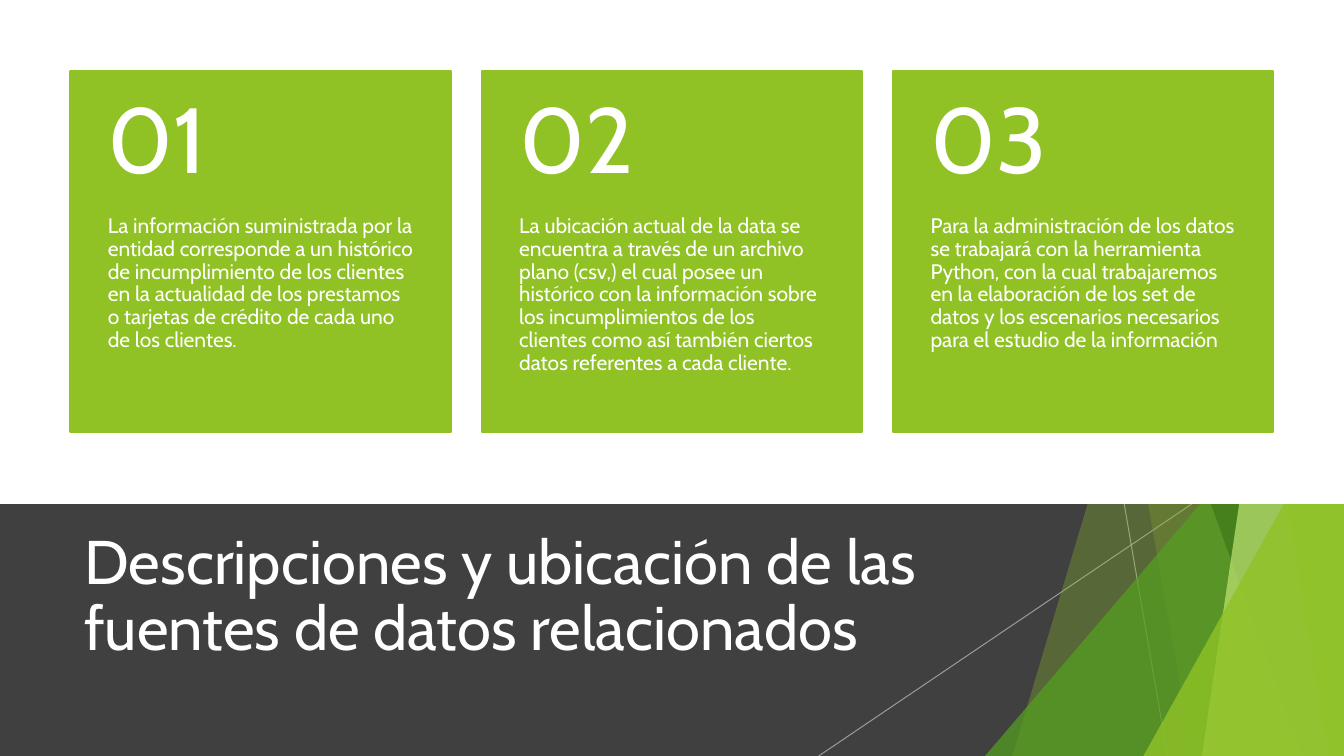
from dataclasses import dataclass

from lxml import etree
from pptx import Presentation
from pptx import util as u
from pptx.dml.color import RGBColor
from pptx.enum import shapes, text
from pptx.oxml.ns import qn


@dataclass(frozen=True)
class Theme:
    """Colours, font and type sizes of the slide."""
    font: str = "Cabin"
    white: str = "FFFFFF"
    band: str = "404040"
    lime: str = "90C226"
    green: str = "54A021"
    forest: str = "3F7819"
    pale: str = "C0E474"
    ray: str = "BFBFBF"
    title_size: float = 44
    number_size: float = 66
    body_size: float = 15


THEME = Theme()
WIDTH, HEIGHT, BAND_TOP = 13.33, 7.5, 5

TITLE = "Descripciones y ubicación de las fuentes de datos relacionados"
CARDS = [
    "La información suministrada por la entidad corresponde a un histórico de "
    "incumplimiento de los clientes en la actualidad de los prestamos o "
    "tarjetas de crédito de cada uno de los clientes.",
    "La ubicación actual de la data se encuentra a través de un archivo plano "
    "(csv,) el cual posee un histórico con la información sobre los "
    "incumplimientos de los clientes como así también ciertos datos "
    "referentes a cada cliente.",
    "Para la administración de los datos se trabajará con la herramienta "
    "Python, con la cual trabajaremos en la elaboración de los set de datos y "
    "los escenarios necesarios para el estudio de la información",
]

# Rays run from the top of the band to the foot of the slide: (top x, foot x).
RAYS = [(11.15, 11.58), (11.82, 8.12)]
# Facets, back to front. Blades: (top x, foot x); wedges: (left, top).
FACETS = [
    ("blade", (12.28, 10.04), THEME.lime, 30),
    ("blade", (10.5, 11.83), THEME.lime, 20),
    ("wedge", (9.77, 3.33), THEME.green, 72),
    ("blade", (10.21, 12.91), THEME.forest, 70),
    ("blade", (13.03, 11.92), THEME.pale, 70),
    ("blade", (11.96, 13.18), THEME.lime, 65),
    ("wedge", (11.34, 3.93), THEME.lime, 80),
]

CARD_LEFT, CARD_TOP, CARD_WIDTH, CARD_HEIGHT = 0.7, 0.7, 3.77, 3.59
CARD_PITCH, NUMBER_HEIGHT = 4.08, 1.44


def set_alpha(colored, percent):
    """Make the solid colour found inside an XML element partly transparent."""
    color = next(colored.iter(qn("a:srgbClr")))
    etree.SubElement(color, qn("a:alpha")).set("val", str(percent * 1000))


def paint(shape, color, alpha=100):
    """Give a shape a flat fill with no line and no shadow."""
    shape.shadow.inherit = False
    shape.fill.solid()
    shape.fill.fore_color.rgb = RGBColor.from_string(color)
    shape.line.fill.background()
    if alpha < 100:
        set_alpha(shape.element.spPr, alpha)


def add_block(page, kind, box, color, alpha=100):
    """Add a filled preset shape at (left, top, width, height)."""
    block = page.shapes.add_shape(kind, *map(u.Inches, box))
    paint(block, color, alpha)
    return block


def add_text(page, words, box, size, insets, anchor):
    """Add a wrapped white text box with insets (left, top, right, bottom)."""
    frame = page.shapes.add_textbox(*map(u.Inches, box)).text_frame
    frame.word_wrap = True
    frame.vertical_anchor = anchor
    (frame.margin_left, frame.margin_top,
     frame.margin_right, frame.margin_bottom) = map(u.Inches, insets)
    frame.text = words
    para = frame.paragraphs[0]
    para.line_spacing = 0.9
    span = para.runs[0]
    span.font.name = THEME.font
    span.font.size = u.Pt(size)
    span.font.color.rgb = RGBColor.from_string(THEME.white)


def add_ray(page, top_x, foot_x):
    """Add a thin translucent line across the band."""
    ray = page.shapes.add_connector(
        shapes.MSO_CONNECTOR.STRAIGHT, u.Inches(top_x), u.Inches(BAND_TOP),
        u.Inches(foot_x), u.Inches(HEIGHT))
    ray.line.color.rgb = RGBColor.from_string(THEME.ray)
    ray.line.width = u.Pt(0.75)
    properties = ray.element.spPr
    set_alpha(properties, 70)
    etree.SubElement(properties, qn("a:effectLst"))


def add_facet(page, kind, start, color, alpha):
    """Add a translucent blade or wedge that ends at the right edge."""
    if kind == "wedge":
        left, top = start
        box = (left, top, WIDTH - left, HEIGHT - top)
        wedge = add_block(page, shapes.MSO_SHAPE.ISOSCELES_TRIANGLE, box, color, alpha)
        wedge.adjustments[0] = 1
        return
    top_x, foot_x = start
    corners = [(top_x, 0), (WIDTH, 0), (WIDTH, HEIGHT), (foot_x, HEIGHT)]
    points = [(u.Inches(x), u.Inches(y)) for x, y in corners]
    outline = page.shapes.build_freeform(*points[0])
    outline.add_line_segments(points[1:], close=True)
    paint(outline.convert_to_shape(), color, alpha)


def add_card(page, index, words):
    """Add one numbered card with its description."""
    left = CARD_LEFT + index * CARD_PITCH
    body_top = CARD_TOP + NUMBER_HEIGHT
    card = add_block(page, shapes.MSO_SHAPE.RECTANGLE,
                     (left, CARD_TOP, CARD_WIDTH, CARD_HEIGHT), THEME.lime)
    card.line.color.rgb = RGBColor.from_string(THEME.lime)
    card.line.width = u.Pt(1.5)
    add_text(page, words,
             (left, body_top, CARD_WIDTH, CARD_HEIGHT - NUMBER_HEIGHT),
             THEME.body_size, (0.37, 0, 0.37, 0.36), text.MSO_ANCHOR.TOP)
    add_text(page, f"{index + 1:02d}",
             (left, CARD_TOP, CARD_WIDTH, NUMBER_HEIGHT),
             THEME.number_size, (0.37, 0.18, 0.37, 0.18), text.MSO_ANCHOR.MIDDLE)


def build():
    """Build the slide and save the deck."""
    deck = Presentation()
    deck.slide_width, deck.slide_height = u.Inches(WIDTH), u.Inches(HEIGHT)
    page = deck.slides.add_slide(deck.slide_layouts[6])
    rectangle = shapes.MSO_SHAPE.RECTANGLE

    add_block(page, rectangle, (0, BAND_TOP, WIDTH, HEIGHT - BAND_TOP), THEME.band)
    for ray in RAYS:
        add_ray(page, *ray)
    for facet in FACETS:
        add_facet(page, *facet)
    add_text(page, TITLE, (0.74, 5.21, 9.4, 1.44), THEME.title_size,
             (0.1, 0.05, 0.1, 0.05), text.MSO_ANCHOR.MIDDLE)

    # The white panel trims the facets to the band.
    add_block(page, rectangle, (0, 0, WIDTH, BAND_TOP), THEME.white)
    for index, words in enumerate(CARDS):
        add_card(page, index, words)
    deck.save("out.pptx")


build()
